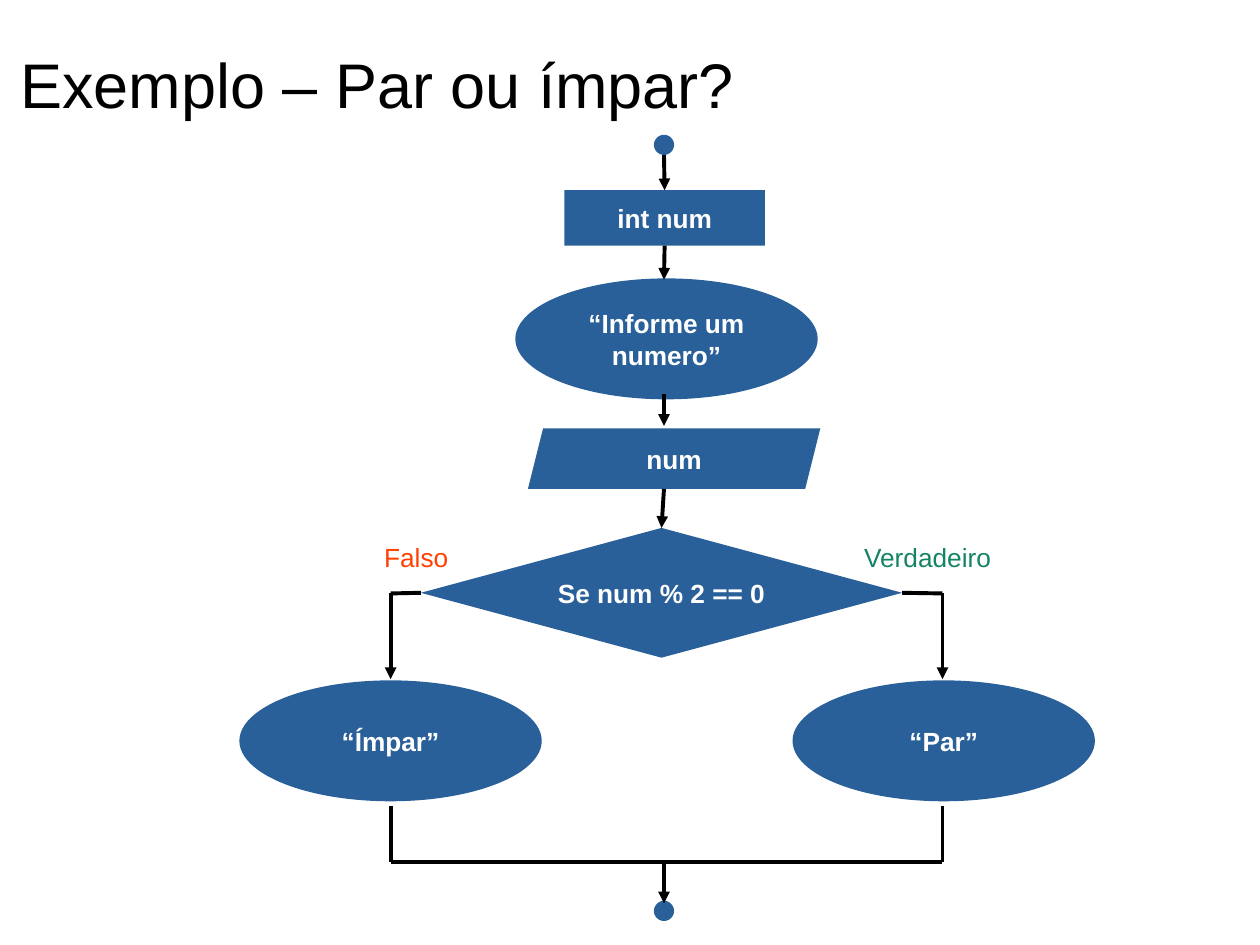
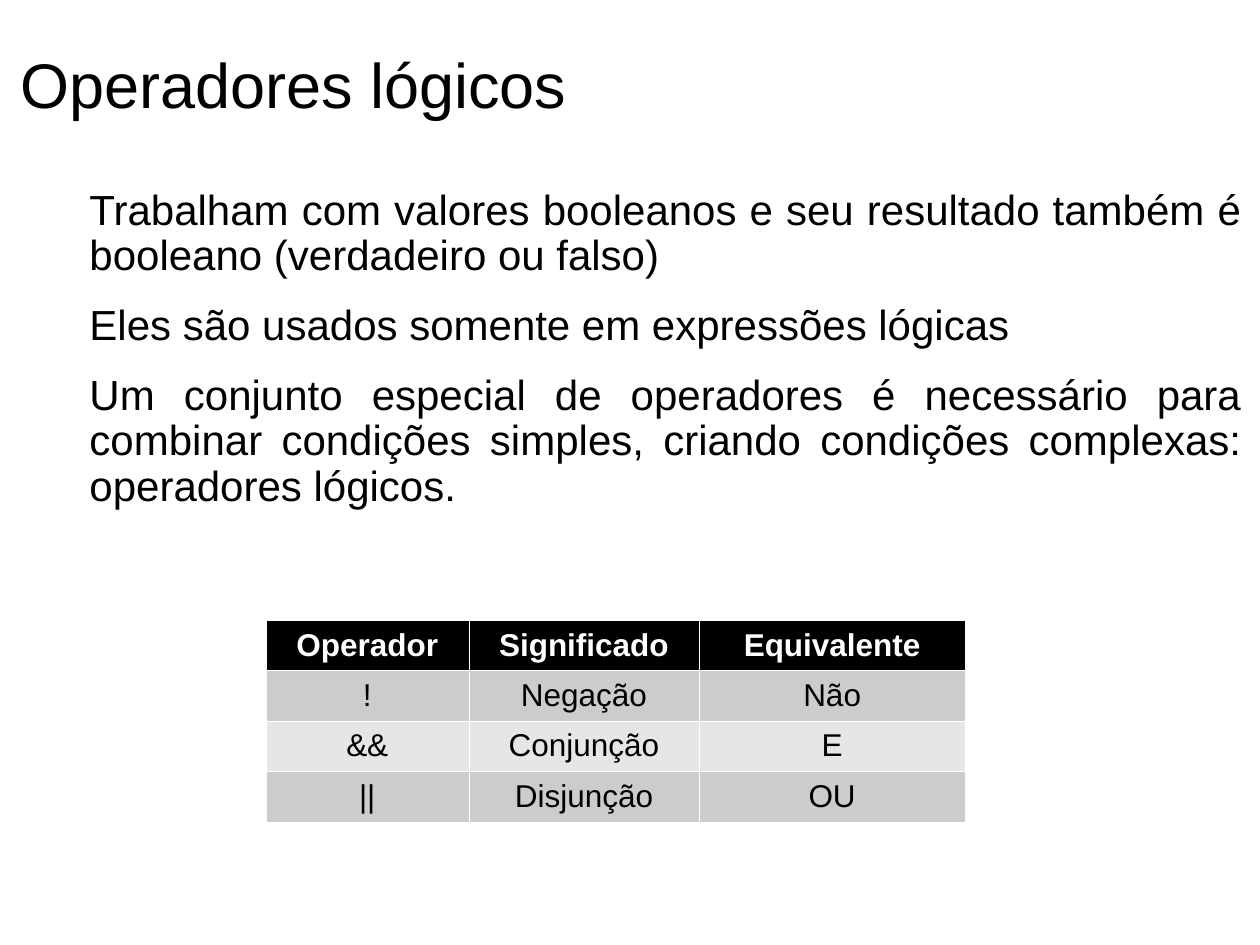
from typing import NamedTuple, Optional

from pptx import Presentation
from pptx.dml.color import RGBColor
from pptx.enum.shapes import MSO_CONNECTOR, MSO_SHAPE
from pptx.enum.text import MSO_ANCHOR, PP_ALIGN
from pptx.oxml.ns import qn
from pptx.util import Inches, Pt
from lxml import etree

ELLIPSE, RECT = MSO_SHAPE.OVAL, MSO_SHAPE.RECTANGLE
DIAMOND, PARALLELOGRAM = MSO_SHAPE.DIAMOND, MSO_SHAPE.PARALLELOGRAM
STRAIGHT = MSO_CONNECTOR.STRAIGHT
MIDDLE = MSO_ANCHOR.MIDDLE
LEFT, CENTER, JUSTIFY = PP_ALIGN.LEFT, PP_ALIGN.CENTER, PP_ALIGN.JUSTIFY
TOP_SITE, LEFT_SITE, BOTTOM_SITE, RIGHT_SITE = range(4)

FONT = "Arial"
BLACK, WHITE, BLUE = "000000", "FFFFFF", "2A6099"
GREEN, ORANGE = "158466", "FF4000"
DARK_BAND, LIGHT_BAND = "CCCCCC", "E6E6E6"
AXIS = 5.27


class Node(NamedTuple):
    name: str
    kind: int
    x: float
    y: float
    w: float
    h: float
    text: str = ""


class Joint(NamedTuple):
    node: str
    site: int


class Link(NamedTuple):
    start: tuple
    end: tuple
    arrow: bool = False
    begin: Optional[Joint] = None
    finish: Optional[Joint] = None


class Label(NamedTuple):
    text: str
    x: float
    w: float
    color: str


OVAL, DOT = (2.4, 0.96), (0.16, 0.16)
NODES = [
    Node("start", ELLIPSE, 5.19, 1.07, *DOT),
    Node("declare", RECT, 4.48, 1.51, 1.59, 0.44, "int num"),
    Node("prompt", ELLIPSE, 4.09, 2.21, *OVAL, "“Informe um numero”"),
    Node("read", PARALLELOGRAM, 4.19, 3.4, 2.32, 0.48, "num"),
    Node("test", DIAMOND, 3.34, 4.19, 3.82, 1.03, "Se num % 2 == 0"),
    Node("odd", ELLIPSE, 1.9, 5.4, *OVAL, "“Ímpar”"),
    Node("even", ELLIPSE, 6.29, 5.4, *OVAL, "“Par”"),
    Node("end", ELLIPSE, 5.19, 7.15, *DOT),
]

ODD_X, EVEN_X, BRANCH_Y, MERGE_Y = 3.1, 7.48, 4.71, 6.84
LINKS = [
    Link((AXIS, 1.23), (AXIS, 1.51), True, finish=Joint("declare", TOP_SITE)),
    Link((AXIS, 1.95), (AXIS, 2.22), True, begin=Joint("declare", BOTTOM_SITE)),
    Link((AXIS, 3.13), (AXIS, 3.38), True),
    Link((AXIS, 3.88), (AXIS, 4.19), True, finish=Joint("test", TOP_SITE)),
    Link((3.34, BRANCH_Y), (ODD_X, BRANCH_Y), begin=Joint("test", LEFT_SITE)),
    Link((7.16, BRANCH_Y), (EVEN_X, BRANCH_Y), begin=Joint("test", RIGHT_SITE)),
    Link((ODD_X, BRANCH_Y), (ODD_X, 5.39), True),
    Link((EVEN_X, BRANCH_Y), (EVEN_X, 5.39), True),
    Link((ODD_X, 6.4), (ODD_X, MERGE_Y)),
    Link((EVEN_X, 6.4), (EVEN_X, MERGE_Y)),
    Link((ODD_X, MERGE_Y), (EVEN_X, MERGE_Y)),
    Link((AXIS, MERGE_Y), (AXIS, 7.17), True),
]

LABELS = [
    Label("Verdadeiro", 6.76, 1.21, GREEN),
    Label("Falso", 2.95, 0.71, ORANGE),
]

STATEMENTS = [
    "Trabalham com valores booleanos e seu resultado também é booleano (verdadeiro ou falso)",
    "Eles são usados somente em expressões lógicas",
    "Um conjunto especial de operadores é necessário para combinar condições simples, "
    "criando condições complexas: operadores lógicos.",
]

OPERATORS = [
    ("Operador", "Significado", "Equivalente"),
    ("!", "Negação", "Não"),
    ("&&", "Conjunção", "E"),
    ("||", "Disjunção", "OU"),
]
COLUMN_WIDTHS = (1.61, 1.83, 2.11)
ROW_HEIGHT = 0.38


def rgb(color: str) -> RGBColor:
    return RGBColor.from_string(color)


def box(x: float, y: float, w: float, h: float) -> tuple:
    return Inches(x), Inches(y), Inches(w), Inches(h)


def add_run(p, text: str, size: float, color: str, bold: bool = False, align=LEFT) -> None:
    p.alignment = align
    r = p.add_run()
    r.text = text
    r.font.name = FONT
    r.font.size = Pt(size)
    r.font.bold = bold
    r.font.color.rgb = rgb(color)


def clear_margins(tf) -> None:
    tf.margin_left = tf.margin_right = tf.margin_top = tf.margin_bottom = 0


def add_titled_slide(prs, title: str):
    s = prs.slides.add_slide(prs.slide_layouts[5])
    sp = s.shapes.title
    sp.left, sp.top, sp.width, sp.height = box(0.16, 0.13, 9.76, 1.06)
    tf = sp.text_frame
    clear_margins(tf)
    tf.vertical_anchor = MIDDLE
    add_run(tf.paragraphs[0], title, 36, BLACK)
    return s


def draw_node(s, node: Node):
    sp = s.shapes.add_shape(node.kind, *box(node.x, node.y, node.w, node.h))
    sp.shadow.inherit = False
    sp.fill.solid()
    sp.fill.fore_color.rgb = rgb(BLUE)
    sp.line.fill.background()
    if node.text:
        tf = sp.text_frame
        tf.word_wrap = True
        tf.vertical_anchor = MIDDLE
        add_run(tf.paragraphs[0], node.text, 15, WHITE, True, CENTER)
    return sp


def draw_link(s, link: Link, shapes: dict) -> None:
    ends = [Inches(v) for v in link.start + link.end]
    line = s.shapes.add_connector(STRAIGHT, *ends)
    if link.begin:
        line.begin_connect(shapes[link.begin.node], link.begin.site)
    if link.finish:
        line.end_connect(shapes[link.finish.node], link.finish.site)
    line.line.color.rgb = rgb(BLACK)
    line.line.width = Pt(2.25)
    if link.arrow:
        etree.SubElement(line.line._get_or_add_ln(), qn("a:tailEnd"), type="triangle")
    etree.SubElement(line._element.spPr, qn("a:effectLst"))


def draw_label(s, label: Label) -> None:
    tf = s.shapes.add_textbox(*box(label.x, 4.25, label.w, 0.35)).text_frame
    tf.word_wrap = False
    add_run(tf.paragraphs[0], label.text, 15, label.color)


def draw_statements(s) -> None:
    tf = s.shapes.add_textbox(*box(0.24, 1.5, 9.61, 3)).text_frame
    tf.word_wrap = True
    clear_margins(tf)
    for i, text in enumerate(STATEMENTS):
        p = tf.add_paragraph() if i else tf.paragraphs[0]
        p._p.get_or_add_pPr().set("marL", str(Inches(0.47)))
        p.line_spacing = 0.9
        p.space_before = Pt(14.1 if i else 0)
        add_run(p, text, 24, BLACK, align=JUSTIFY)


def set_borders(cell, color: str) -> None:
    tc_pr = cell._tc.get_or_add_tcPr()
    for side in ("lnL", "lnR", "lnT", "lnB"):
        ln = etree.SubElement(tc_pr, qn(f"a:{side}"), w=str(Pt(0.06)))
        fill = etree.SubElement(ln, qn("a:solidFill"))
        etree.SubElement(fill, qn("a:srgbClr"), val=color)


def draw_operators(s) -> None:
    rows, cols = len(OPERATORS), len(COLUMN_WIDTHS)
    place = box(2.11, 4.92, sum(COLUMN_WIDTHS), rows * ROW_HEIGHT)
    table = s.shapes.add_table(rows, cols, *place).table
    for column, width in zip(table.columns, COLUMN_WIDTHS):
        column.width = Inches(width)
    for i, values in enumerate(OPERATORS):
        header = i == 0
        band = BLACK if header else DARK_BAND if i % 2 else LIGHT_BAND
        for j, value in enumerate(values):
            cell = table.cell(i, j)
            set_borders(cell, WHITE)
            cell.fill.solid()
            cell.fill.fore_color.rgb = rgb(band)
            cell.vertical_anchor = MIDDLE
            p = cell.text_frame.paragraphs[0]
            add_run(p, value, 18, WHITE if header else BLACK, header, CENTER)


def build_flowchart(prs) -> None:
    s = add_titled_slide(prs, "Exemplo – Par ou ímpar?")
    shapes = {node.name: draw_node(s, node) for node in NODES}
    for link in LINKS:
        draw_link(s, link, shapes)
    for label in LABELS:
        draw_label(s, label)


def build_operators(prs) -> None:
    s = add_titled_slide(prs, "Operadores lógicos")
    draw_statements(s)
    draw_operators(s)


def main() -> None:
    prs = Presentation()
    prs.slide_width, prs.slide_height = Inches(10), Inches(7.5)
    build_flowchart(prs)
    build_operators(prs)
    prs.save("out.pptx")


if __name__ == "__main__":
    main()
